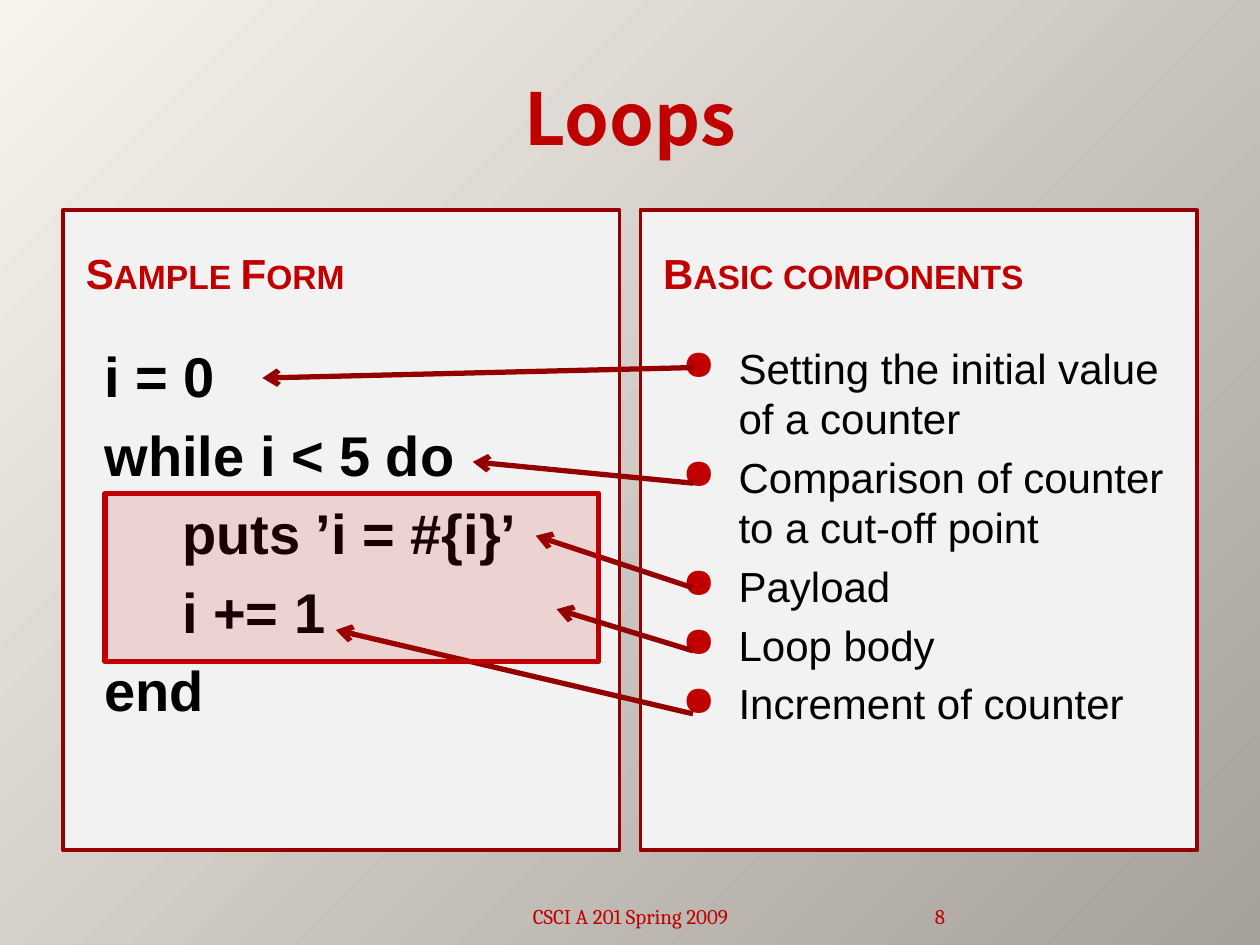
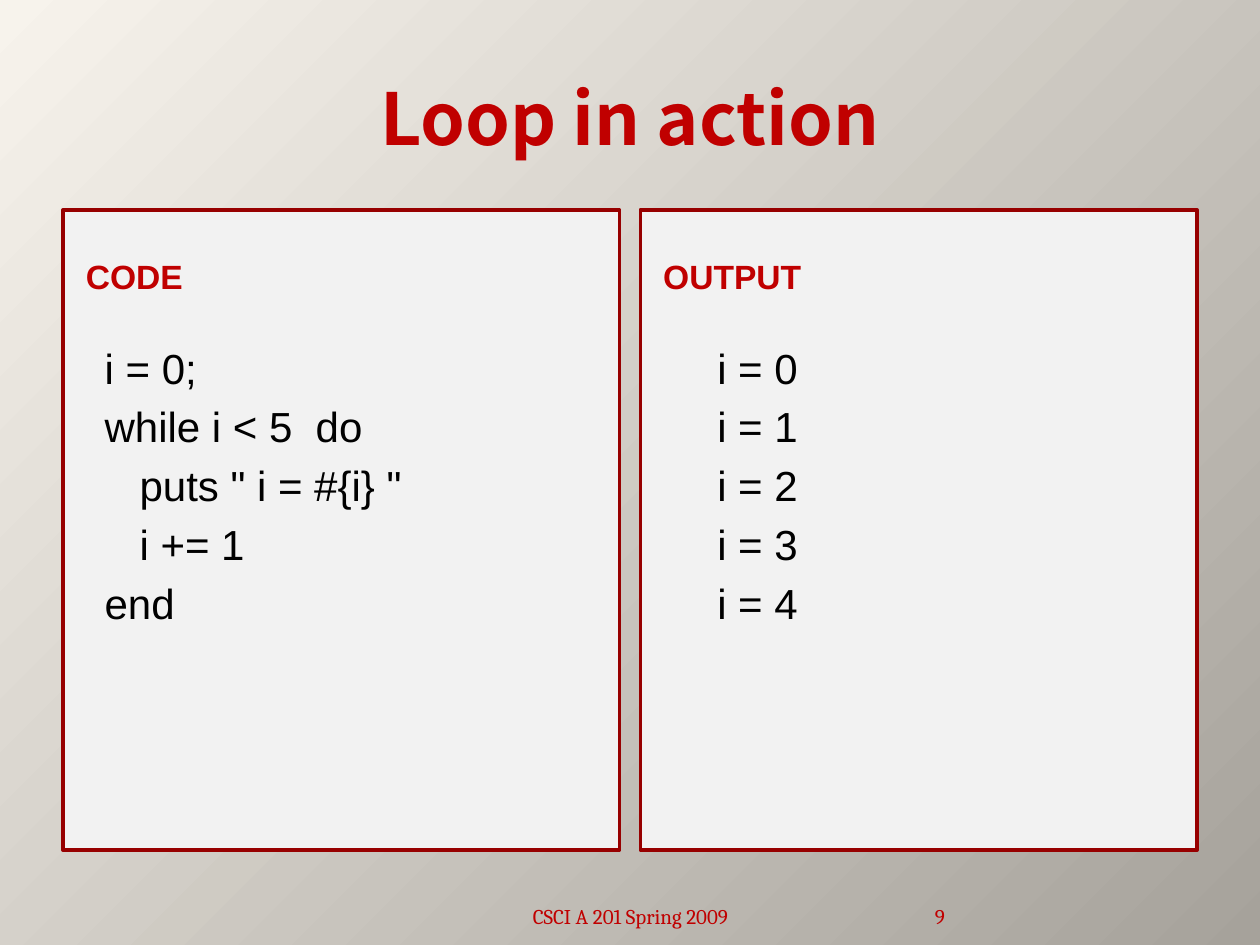
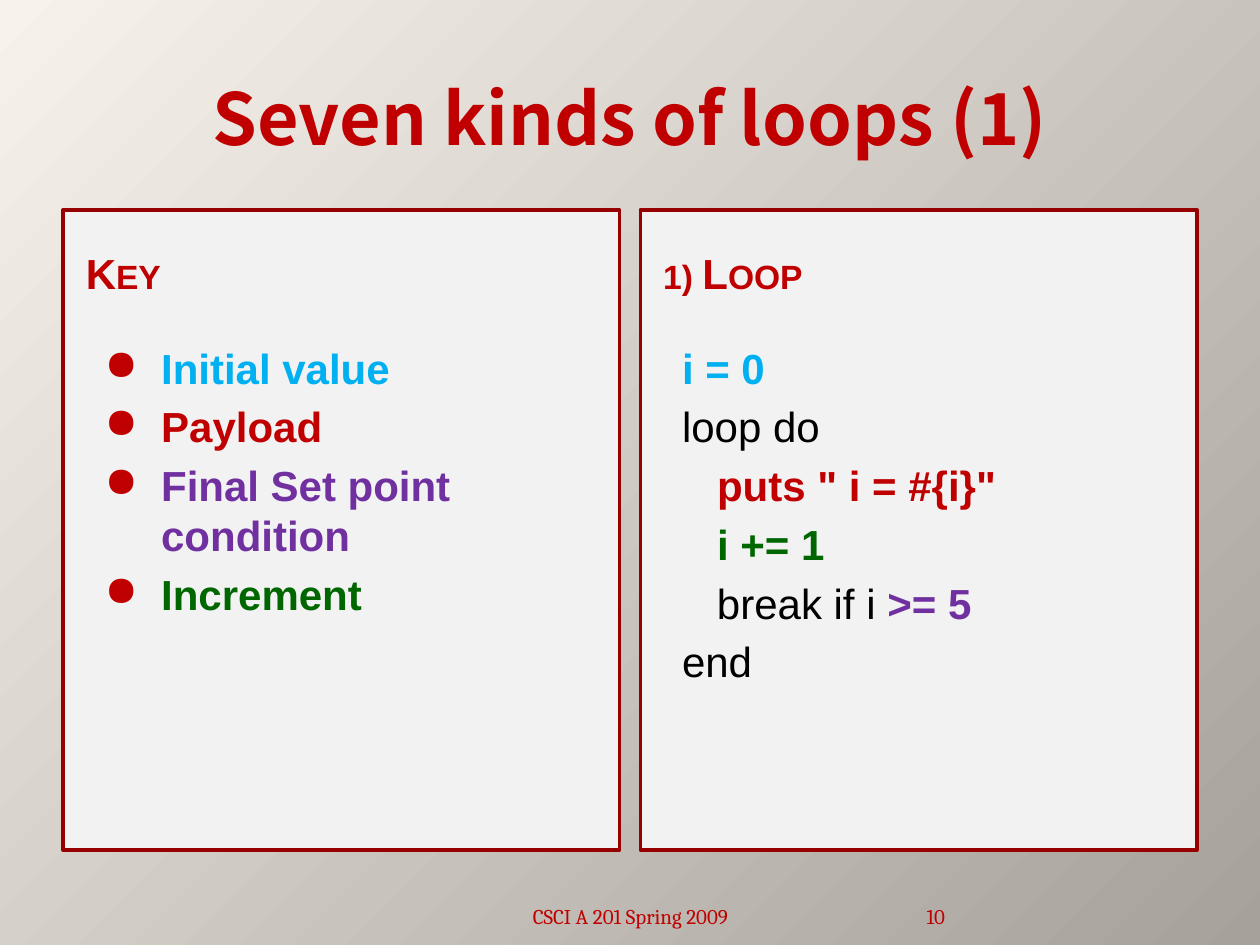
from dataclasses import dataclass
from typing import NamedTuple

from lxml import etree
from pptx import Presentation
from pptx.dml.color import RGBColor
from pptx.enum.shapes import MSO_CONNECTOR, MSO_SHAPE
from pptx.enum.text import MSO_ANCHOR, PP_ALIGN
from pptx.oxml.ns import qn
from pptx.util import Cm, Pt

STRAIGHT = MSO_CONNECTOR.STRAIGHT
RECTANGLE = MSO_SHAPE.RECTANGLE
TOP, MIDDLE, BOTTOM = MSO_ANCHOR.TOP, MSO_ANCHOR.MIDDLE, MSO_ANCHOR.BOTTOM
LEFT, CENTER, RIGHT = PP_ALIGN.LEFT, PP_ALIGN.CENTER, PP_ALIGN.RIGHT


@dataclass(frozen=True)
class Theme:
    background_light: str = "F7F3EC"
    background_dark: str = "A6A29B"
    panel: str = "F2F2F2"
    panel_border: str = "970000"
    arrow: str = "940000"
    accent: str = "C00000"
    highlight: str = "CC0000"
    text: str = "000000"
    initial: str = "00B0F0"
    limit: str = "7030A0"
    increment: str = "006600"
    title_font: str = "Noto Sans CJK SC"
    body_font: str = "Arial"
    footer_font: str = "Cambria"
    title_size: float = 41
    large_size: float = 32
    body_size: float = 24
    footer_size: float = 12


THEME = Theme()


class Box(NamedTuple):
    """Left, top, width and height in centimetres."""
    left: float
    top: float
    width: float
    height: float

    def lengths(self) -> list[Cm]:
        return [Cm(value) for value in self]


class Span(NamedTuple):
    text: str
    color: str = THEME.text
    bold: bool = False


class Arrow(NamedTuple):
    start_y: float
    end_x: float
    end_y: float


Line = list[Span]


@dataclass(frozen=True)
class Column:
    heading: str
    lines: list[Line]
    bullets: bool = False
    size: float = THEME.body_size
    first_line: float = 0.38


@dataclass(frozen=True)
class Page:
    number: int
    title: str
    columns: tuple[Column, Column]


TITLE_BOX = Box(1.27, 0.76, 22.86, 3.18)
FOOTER_BOX = Box(8.69, 17.83, 8.04, 1.02)
NUMBER_BOX = Box(16.93, 17.83, 2.12, 1.02)
LOOP_BODY_BOX = Box(2.12, 9.95, 9.95, 3.39)
PANELS = [Box(left, 4.23, 11.22, 12.91) for left in (1.27, 12.91)]
PANEL_PADDING = 0.21
HEADING_HEIGHT = 2.12
BODY_TOP, BODY_HEIGHT = 6.77, 10.16
HANGING_MARGIN = 1.52
ARROW_START_X = 13.97
ARROWS = [
    Arrow(7.41, 5.29, 7.62),
    Arrow(9.74, 9.53, 9.31),
    Arrow(11.85, 10.8, 10.8),
    Arrow(14.39, 6.77, 12.7),
]
LOOP_BODY_ARROW = Arrow(13.12, 11.22, 12.28)


def plain(*texts: str, bold: bool = False) -> list[Line]:
    return [[Span(text, bold=bold)] for text in texts]


PAGES = [
    Page(8, "Loops", (
        Column("Sample Form", plain(
            "i = 0",
            "while i < 5 do",
            "     puts ’i = #{i}’",
            "     i += 1",
            "end", bold=True), size=THEME.large_size),
        Column("Basic components", plain(
            "Setting the initial value of a counter",
            "Comparison of counter to a cut-off point",
            "Payload",
            "Loop body",
            "Increment of counter"), bullets=True),
    )),
    Page(9, "Loop in action", (
        Column("code", plain(
            "i = 0;",
            "while i < 5  do",
            '   puts " i = #{i} "',
            "   i += 1",
            "end")),
        Column("output", plain(*(f"i = {i}" for i in range(5))),
               first_line=1.09),
    )),
    Page(10, "Seven kinds of loops (1)", (
        Column("Key", [
            [Span("Initial value", THEME.initial, True)],
            [Span("Payload", THEME.accent, True)],
            [Span("Final Set point condition", THEME.limit, True)],
            [Span("Increment", THEME.increment, True)],
        ], bullets=True),
        Column("1) Loop", [
            [Span("i = 0", THEME.initial, True)],
            [Span("loop do")],
            [Span("   "), Span('puts " i = #{i}"', THEME.accent, True)],
            [Span("   "), Span("i += 1", THEME.increment, True)],
            [Span("   break if i "), Span(">= 5", THEME.limit, True)],
            [Span("end")],
        ]),
    )),
]


def rgb(color: str) -> RGBColor:
    return RGBColor.from_string(color)


def set_indent(paragraph, first_line: float, bullet: bool) -> None:
    """Hang the first line left of the margin, with an optional round bullet."""
    properties = paragraph._p.get_or_add_pPr()
    properties.set("marL", str(Cm(HANGING_MARGIN)))
    properties.set("indent", str(Cm(first_line) - Cm(HANGING_MARGIN)))
    if bullet:
        color = etree.SubElement(properties, qn("a:buClr"))
        etree.SubElement(color, qn("a:srgbClr"), val=THEME.accent)
        etree.SubElement(properties, qn("a:buChar"), char="●")


def add_text(slide, box: Box, lines: list[Line], *, size: float,
             font: str = THEME.body_font, align=LEFT, anchor=TOP,
             fill: str | None = None, small_caps: bool = False,
             first_line: float | None = None, bullets: bool = False,
             side_inset: float = 0.25) -> None:
    shape = slide.shapes.add_textbox(*box.lengths())
    if fill:
        shape.fill.solid()
        shape.fill.fore_color.rgb = rgb(fill)
    frame = shape.text_frame
    frame.word_wrap = True
    frame.vertical_anchor = anchor
    frame.margin_left = frame.margin_right = Cm(side_inset)
    for index, line in enumerate(lines):
        paragraph = frame.add_paragraph() if index else frame.paragraphs[0]
        paragraph.alignment = align
        if index:
            paragraph.space_before = Pt(size * 0.2)
        if first_line is not None:
            set_indent(paragraph, first_line, bullets)
        for span in line:
            run = paragraph.add_run()
            run.text = span.text
            run.font.name = font
            run.font.size = Pt(size)
            run.font.bold = span.bold
            run.font.color.rgb = rgb(span.color)
            if small_caps:
                run._r.get_or_add_rPr().set("cap", "small")


def add_rectangle(slide, box: Box, *, fill: str, border: str,
                  border_width: float, opacity: int = 100) -> None:
    shape = slide.shapes.add_shape(RECTANGLE, *box.lengths())
    shape.shadow.inherit = False
    shape.fill.solid()
    shape.fill.fore_color.rgb = rgb(fill)
    shape.line.color.rgb = rgb(border)
    shape.line.width = Pt(border_width)
    if opacity < 100:
        color = shape._element.spPr.find(qn("a:solidFill"))[0]
        etree.SubElement(color, qn("a:alpha"), val=str(opacity * 1000))


def add_arrow(slide, arrow: Arrow) -> None:
    connector = slide.shapes.add_connector(
        STRAIGHT, Cm(ARROW_START_X), Cm(arrow.start_y),
        Cm(arrow.end_x), Cm(arrow.end_y))
    connector.line.color.rgb = rgb(THEME.arrow)
    connector.line.width = Pt(3)
    etree.SubElement(connector.line._get_or_add_ln(), qn("a:tailEnd"),
                     type="arrow")
    etree.SubElement(connector._element.spPr, qn("a:effectLst"))


def add_column(slide, panel: Box, column: Column) -> None:
    left = panel.left + PANEL_PADDING
    width = panel.width - 2 * PANEL_PADDING
    heading_box = Box(left, panel.top + PANEL_PADDING, width, HEADING_HEIGHT)
    add_text(slide, heading_box, [[Span(column.heading, THEME.accent, True)]],
             size=THEME.body_size, anchor=MIDDLE, fill=THEME.panel,
             small_caps=True)
    add_text(slide, Box(left, BODY_TOP, width, BODY_HEIGHT), column.lines,
             size=column.size, first_line=column.first_line,
             bullets=column.bullets)


def add_page(presentation, page: Page):
    slide = presentation.slides.add_slide(presentation.slide_layouts[6])
    for panel in PANELS:
        add_rectangle(slide, panel, fill=THEME.panel,
                      border=THEME.panel_border, border_width=2)
    add_text(slide, TITLE_BOX, [[Span(page.title, THEME.accent, True)]],
             size=THEME.title_size, font=THEME.title_font,
             align=CENTER, anchor=MIDDLE)
    for panel, column in zip(PANELS, page.columns):
        add_column(slide, panel, column)
    add_text(slide, FOOTER_BOX, [[Span("CSCI A 201 Spring 2009", THEME.accent)]],
             size=THEME.footer_size, font=THEME.footer_font,
             align=CENTER, anchor=BOTTOM)
    add_text(slide, NUMBER_BOX, [[Span(str(page.number), THEME.accent)]],
             size=THEME.footer_size, font=THEME.footer_font,
             align=RIGHT, anchor=BOTTOM, side_inset=0)
    return slide


def set_background(master) -> None:
    """Fill the master with a gradient that spreads from the top left corner."""
    fill = master.background.fill
    fill.gradient()
    colors = (THEME.background_light, THEME.background_dark)
    for stop, color, position in zip(fill.gradient_stops, colors, (0, 1)):
        stop.color.rgb = rgb(color)
        stop.position = position
    gradient = next(master.element.iter(qn("a:gradFill")))
    gradient.remove(gradient.find(qn("a:lin")))
    spread = etree.SubElement(gradient, qn("a:path"))
    spread.set("path", "circle")
    etree.SubElement(spread, qn("a:fillToRect"), r="100000", b="100000")


def main() -> None:
    presentation = Presentation()
    presentation.slide_width, presentation.slide_height = Cm(25.4), Cm(19.05)
    set_background(presentation.slide_master)
    loops, *_ = [add_page(presentation, page) for page in PAGES]
    for arrow in ARROWS:
        add_arrow(loops, arrow)
    add_rectangle(loops, LOOP_BODY_BOX, fill=THEME.highlight,
                  border=THEME.accent, border_width=3, opacity=13)
    add_arrow(loops, LOOP_BODY_ARROW)
    presentation.save("out.pptx")


if __name__ == "__main__":
    main()
